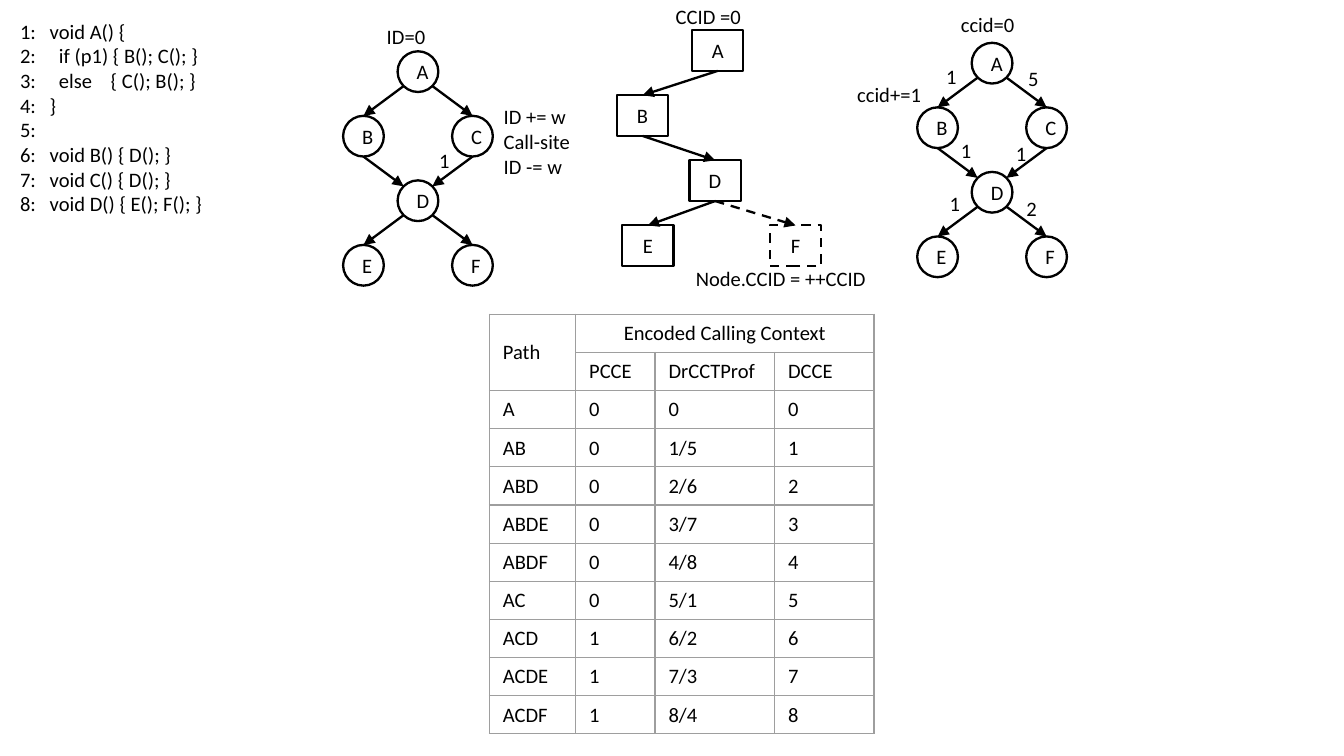
from math import sqrt

from lxml.etree import SubElement
from pptx import Presentation
from pptx.dml.color import RGBColor
from pptx.enum.dml import MSO_LINE
from pptx.enum.shapes import MSO_CONNECTOR, MSO_SHAPE
from pptx.enum.text import MSO_ANCHOR, MSO_AUTO_SIZE, PP_ALIGN
from pptx.oxml import parse_xml
from pptx.oxml.ns import nsdecls, qn
from pptx.util import Cm, Pt

INK, GRID = "000000", "9E9E9E"
FONT = {"name": "Calibri", "size": Pt(11)}
LINE_WIDTH = Pt(1.25)
NODE_HEIGHT = 0.77
CIRCLE_STEP_X, CIRCLE_STEP_Y = 1.03, 1.22
BOX_WIDTH, BOX_TOP, BOX_STEP_Y = 0.97, 0.57, 1.23
LABEL_HEIGHT, WEIGHT_WIDTH = 0.74, 0.74

CODE = [
    "void A() {",
    "  if (p1) { B(); C(); }",
    "  else    { C(); B(); }",
    "}",
    "",
    "void B() { D(); }",
    "void C() { D(); }",
    "void D() { E(); F(); }",
]

# Node name: (column, row) around the centre line of a call graph
CALL_GRAPH_NODES = {"A": (0, 0), "B": (-1, 1), "C": (1, 1),
                    "D": (0, 2), "E": (-1, 3), "F": (1, 3)}
CALL_GRAPH_EDGES = ["AB", "AC", "CD", "BD", "DE", "DF"]

# Labels: (text, left, top, width)
CALL_GRAPHS = [
    {"centre": 7.9, "top": 0.97, "labels": [
        ("ID=0", 7.06, 0.33, 1.32),
        ("1", 8.05, 2.67, WEIGHT_WIDTH),
        ("ID += w\nCall-site\nID -= w", 9.27, 1.85, 1.83),
    ]},
    {"centre": 18.75, "top": 0.81, "labels": [
        ("ccid=0", 17.91, 0.1, 1.6),
        ("ccid+=1", 15.95, 1.42, 1.85),
        ("1", 17.63, 1.09, WEIGHT_WIDTH),
        ("5", 19.18, 1.12, WEIGHT_WIDTH),
        ("1", 17.91, 2.49, WEIGHT_WIDTH),
        ("1", 18.95, 2.54, WEIGHT_WIDTH),
        ("1", 17.7, 3.48, WEIGHT_WIDTH),
        ("2", 19.15, 3.58, WEIGHT_WIDTH),
    ]},
]

# Node name: (left, row, dashed)
TREE_NODES = {"A": (13.08, 0, False), "B": (11.66, 1, False),
              "D": (13.03, 2, False), "E": (11.76, 3, False),
              "F": (14.55, 3, True)}
TREE_EDGES = ["AB", "BD", "DE", "DF"]
TREE_LABELS = [("CCID =0", 12.52, -0.05, 1.91),
               ("Node.CCID = ++CCID", 12.9, 4.9, 4.14)]

TABLE_LEFT, TABLE_TOP, ROW_HEIGHT = 9.25, 5.94, 0.72
COLUMN_WIDTHS = [1.63, 1.5, 2.26, 1.88]
TABLE_ROWS = [
    ("Path", "Encoded Calling Context", "", ""),
    ("", "PCCE", "DrCCTProf", "DCCE"),
    ("A", "0", "0", "0"),
    ("AB", "0", "1/5", "1"),
    ("ABD", "0", "2/6", "2"),
    ("ABDE", "0", "3/7", "3"),
    ("ABDF", "0", "4/8", "4"),
    ("AC", "0", "5/1", "5"),
    ("ACD", "1", "6/2", "6"),
    ("ACDE", "1", "7/3", "7"),
    ("ACDF", "1", "8/4", "8"),
]


def colour(hex_string):
    return RGBColor.from_string(hex_string)


def format_text(frame, alignment=PP_ALIGN.LEFT):
    for paragraph in frame.paragraphs:
        paragraph.alignment = alignment
        for name, value in FONT.items():
            setattr(paragraph.font, name, value)
        paragraph.font.color.rgb = colour(INK)


def format_line(line, dashed):
    line.width = LINE_WIDTH
    line.color.rgb = colour(INK)
    if dashed:
        line.dash_style = MSO_LINE.DASH


def add_label(shapes, text, left, top, width, height=LABEL_HEIGHT):
    box = shapes.add_textbox(Cm(left), Cm(top), Cm(width), Cm(height))
    frame = box.text_frame
    frame.text = text
    frame.word_wrap = False
    frame.auto_size = MSO_AUTO_SIZE.SHAPE_TO_FIT_TEXT
    format_text(frame)
    return frame


def add_node(shapes, kind, name, left, top, width, dashed=False):
    shape = shapes.add_shape(kind, Cm(left), Cm(top), Cm(width), Cm(NODE_HEIGHT))
    shape.shadow.inherit = False
    shape.fill.background()
    format_line(shape.line, dashed)
    shape.text_frame.text = name
    format_text(shape.text_frame, PP_ALIGN.CENTER)
    return shape


def add_arrow(shapes, start=(0, 0), end=(0, 0), dashed=False):
    points = [Cm(value) for value in (*start, *end)]
    arrow = shapes.add_connector(MSO_CONNECTOR.STRAIGHT, *points)
    format_line(arrow.line, dashed)
    SubElement(arrow.line._get_or_add_ln(), qn("a:tailEnd"), type="triangle")
    SubElement(arrow._element.spPr, qn("a:effectLst"))
    return arrow


def add_call_graph(slide, centre, top, labels):
    shapes = slide.shapes.add_group_shape().shapes
    radius = NODE_HEIGHT / 2
    diagonal = radius / sqrt(2)
    centres = {name: (centre + column * CIRCLE_STEP_X,
                      top + radius + row * CIRCLE_STEP_Y)
               for name, (column, row) in CALL_GRAPH_NODES.items()}
    for name, (x, y) in centres.items():
        add_node(shapes, MSO_SHAPE.OVAL, name, x - radius, y - radius, NODE_HEIGHT)
    for source, target in CALL_GRAPH_EDGES:
        (x1, y1), (x2, y2) = centres[source], centres[target]
        reach = diagonal if x2 > x1 else -diagonal
        if CALL_GRAPH_NODES[source][0] == 0:  # leaves the middle column
            add_arrow(shapes, (x1 + reach, y1 + diagonal), (x2, y2 - radius))
        else:
            add_arrow(shapes, (x1, y1 + radius), (x2 - reach, y2 - diagonal))
    for label in labels:
        add_label(shapes, *label)


def add_context_tree(slide):
    shapes = slide.shapes.add_group_shape().shapes
    boxes = {name: add_node(shapes, MSO_SHAPE.RECTANGLE, name, left,
                            BOX_TOP + row * BOX_STEP_Y, BOX_WIDTH, dashed)
             for name, (left, row, dashed) in TREE_NODES.items()}
    for source, target in TREE_EDGES:
        x, y = boxes[source].left.cm, boxes[source].top.cm
        arrow = add_arrow(shapes, (x, y), (x, y), TREE_NODES[target][2])
        arrow.begin_connect(boxes[source], 2)
        arrow.end_connect(boxes[target], 0)
    for label in TREE_LABELS:
        add_label(shapes, *label)


def add_code(slide):
    lines = [f"{number}:\t{line}" if line else f"{number}:"
             for number, line in enumerate(CODE, 1)]
    frame = add_label(slide.shapes, "\n".join(lines), 0.13, 0.23, 4.2, 4.83)
    frame.word_wrap = True
    for paragraph in frame.paragraphs:
        tabs = parse_xml(f'<a:tabLst {nsdecls("a")}><a:tab pos="{Cm(0.56)}" algn="l"/></a:tabLst>')
        paragraph._p.get_or_add_pPr().insert(0, tabs)


def add_borders(cell):
    properties = cell._tc.get_or_add_tcPr()
    for index, side in enumerate(("lnL", "lnR", "lnT", "lnB")):
        properties.insert(index, parse_xml(
            f'<a:{side} {nsdecls("a")} w="{Pt(0.75)}"><a:solidFill>'
            f'<a:srgbClr val="{GRID}"/></a:solidFill></a:{side}>'))


def add_context_table(slide):
    table = slide.shapes.add_table(
        len(TABLE_ROWS), len(COLUMN_WIDTHS), Cm(TABLE_LEFT), Cm(TABLE_TOP),
        Cm(sum(COLUMN_WIDTHS)), Cm(ROW_HEIGHT * len(TABLE_ROWS))).table
    table.first_row = table.horz_banding = False
    for column, width in zip(table.columns, COLUMN_WIDTHS):
        column.width = Cm(width)
    for row_index, values in enumerate(TABLE_ROWS):
        table.rows[row_index].height = Cm(ROW_HEIGHT)
        for column_index, value in enumerate(values):
            cell = table.cell(row_index, column_index)
            cell.text = value
            cell.fill.background()
            add_borders(cell)
            format_text(cell.text_frame)
    path, heading = table.cell(0, 0), table.cell(0, 1)
    path.merge(table.cell(1, 0))
    path.vertical_anchor = MSO_ANCHOR.MIDDLE
    heading.merge(table.cell(0, 3))
    format_text(heading.text_frame, PP_ALIGN.CENTER)


def main():
    presentation = Presentation()
    presentation.slide_width, presentation.slide_height = Cm(25.4), Cm(14.29)
    slide = presentation.slides.add_slide(presentation.slide_layouts[6])
    add_code(slide)
    for graph in CALL_GRAPHS:
        add_call_graph(slide, **graph)
    add_context_tree(slide)
    add_context_table(slide)
    presentation.save("out.pptx")


if __name__ == "__main__":
    main()
